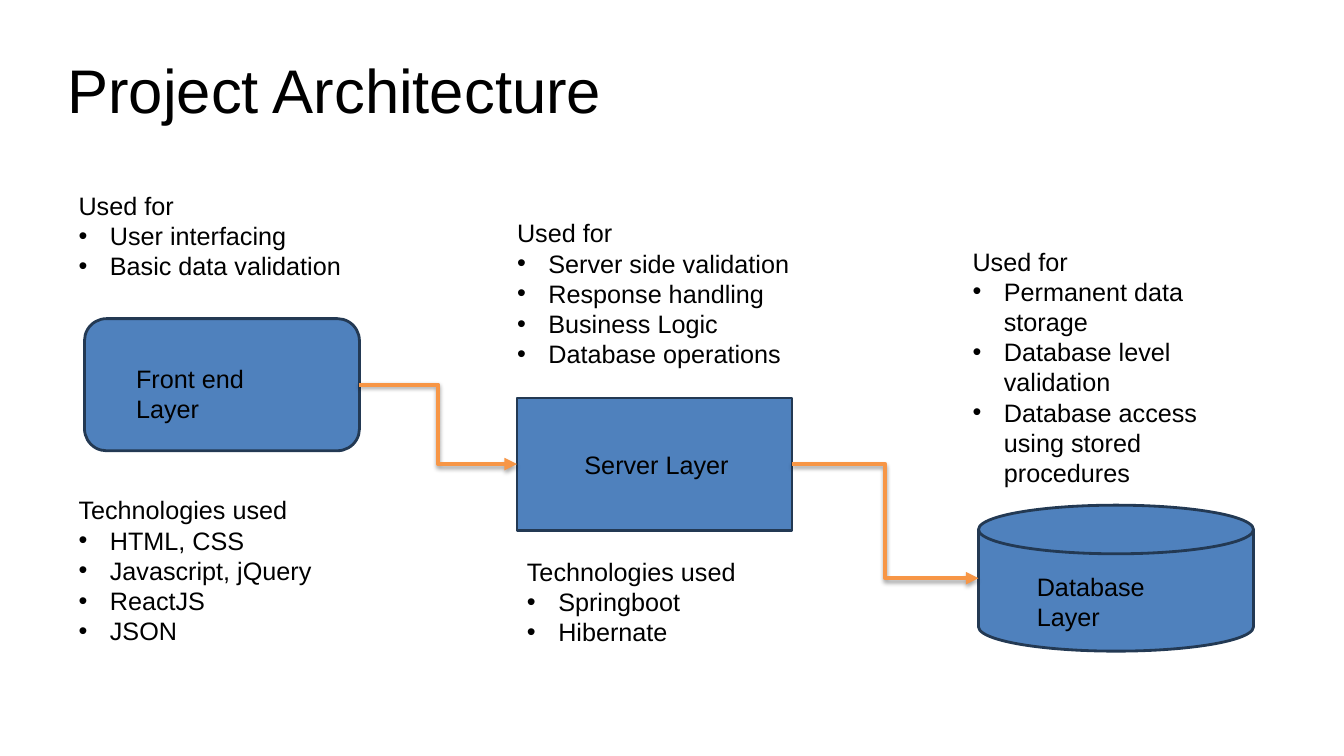
import pptx
import pptx.dml.color
import pptx.enum.shapes
import pptx.enum.text
import pptx.oxml
import pptx.oxml.ns
import pptx.util
from pptx.util import Cm

BLACK = pptx.dml.color.RGBColor(0x00, 0x00, 0x00)
BLUE = pptx.dml.color.RGBColor(0x4F, 0x81, 0xBD)
NAVY = pptx.dml.color.RGBColor(0x23, 0x39, 0x53)
ORANGE = pptx.dml.color.RGBColor(0xF7, 0x96, 0x46)

SHAPES = pptx.enum.shapes.MSO_SHAPE
LAYER_WIDTH = 6.93
LAYER_HEIGHT = 3.33
LIST_WIDTH = 7.77
LABEL_WIDTH = 4.88
LINE_HEIGHT = 0.76
INDENT = Cm(0.79)


def format_text(paragraph, size):
    for run in paragraph.runs:
        run.font.name = "Arial"
        run.font.size = pptx.util.Pt(size)
        run.font.color.rgb = BLACK


def add_text(slide, left, top, width, height, text, size=18):
    shape = slide.shapes.add_textbox(Cm(left), Cm(top), Cm(width), Cm(height))
    text_frame = shape.text_frame
    text_frame.word_wrap = True
    text_frame.text = text
    for paragraph in text_frame.paragraphs:
        format_text(paragraph, size)
    return text_frame


def add_title(slide, text):
    text_frame = add_text(slide, 1.7, 0.76, 30.48, 3.18, text, 44)
    text_frame.vertical_anchor = pptx.enum.text.MSO_ANCHOR.MIDDLE
    text_frame.margin_left = text_frame.margin_right = 0
    text_frame.margin_top = text_frame.margin_bottom = 0
    text_frame.paragraphs[0].line_spacing = 0.9


def add_bullet(paragraph):
    properties = paragraph._p.get_or_add_pPr()
    properties.set("marL", str(INDENT))
    properties.set("indent", str(-INDENT))
    namespace = pptx.oxml.ns.nsdecls("a")
    properties.append(pptx.oxml.parse_xml(f'<a:buFont {namespace} typeface="Arial"/>'))
    properties.append(pptx.oxml.parse_xml(f'<a:buChar {namespace} char="•"/>'))


def add_list(slide, left, top, heading, items):
    height = LINE_HEIGHT * (len(items) + 1) + 0.25
    text = "\n".join([heading, *items])
    text_frame = add_text(slide, left, top, LIST_WIDTH, height, text)
    for paragraph in text_frame.paragraphs[1:]:
        add_bullet(paragraph)


def add_layer(slide, kind, left, top, height=LAYER_HEIGHT):
    shape = slide.shapes.add_shape(kind, Cm(left), Cm(top), Cm(LAYER_WIDTH), Cm(height))
    shape.shadow.inherit = False
    shape.fill.solid()
    shape.fill.fore_color.rgb = BLUE
    shape.line.color.rgb = NAVY
    shape.line.width = pptx.util.Pt(2)
    return shape


def add_label(slide, left, top, text):
    add_text(slide, left, top, LABEL_WIDTH, 1.02, text)


def add_arrow(slide, source, target):
    connector = slide.shapes.add_connector(
        pptx.enum.shapes.MSO_CONNECTOR.ELBOW,
        source.left + source.width,
        source.top + source.height // 2,
        target.left,
        target.top + target.height // 2,
    )
    connector.begin_connect(source, 3)
    connector.line.color.rgb = ORANGE
    connector.line.width = pptx.util.Pt(3)
    namespace = pptx.oxml.ns.nsdecls("a")
    line = connector.line._get_or_add_ln()
    line.append(pptx.oxml.parse_xml(f'<a:tailEnd {namespace} type="triangle"/>'))
    connector._element.spPr.append(pptx.oxml.parse_xml(
        f'<a:effectLst {namespace}>'
        '<a:outerShdw blurRad="40000" dist="23000" dir="5400000" rotWithShape="0">'
        '<a:srgbClr val="000000"><a:alpha val="35000"/></a:srgbClr>'
        '</a:outerShdw></a:effectLst>'
    ))
    return connector


def main():
    presentation = pptx.Presentation()
    presentation.slide_width = Cm(33.87)
    presentation.slide_height = Cm(19.05)
    slide = presentation.slides.add_slide(presentation.slide_layouts[6])

    add_title(slide, "Project Architecture")

    front_end = add_layer(slide, SHAPES.ROUNDED_RECTANGLE, 2.13, 8.03)
    server = add_layer(slide, SHAPES.ROUNDED_RECTANGLE, 13.03, 10.03)
    server.adjustments[0] = 0
    database = add_layer(slide, SHAPES.FLOWCHART_MAGNETIC_DISK, 24.66, 12.73, 3.68)

    add_label(slide, 3.18, 9.02, "Front end Layer")
    add_label(slide, 14.48, 11.2, "Server Layer")
    add_label(slide, 25.88, 14.27, "Database Layer")

    add_list(slide, 1.73, 4.67, "Used for",
             ["User interfacing", "Basic data validation"])
    add_list(slide, 1.73, 12.34, "Technologies used",
             ["HTML, CSS", "Javascript, jQuery", "ReactJS", "JSON"])
    add_list(slide, 12.78, 5.36, "Used for",
             ["Server side validation", "Response handling",
              "Business Logic", "Database operations"])
    add_list(slide, 13.03, 13.89, "Technologies used",
             ["Springboot", "Hibernate"])
    add_list(slide, 24.26, 6.07, "Used for",
             ["Permanent data storage", "Database level validation",
              "Database access using stored procedures"])

    add_arrow(slide, front_end, server).end_connect(server, 1)
    add_arrow(slide, server, database)

    presentation.save("out.pptx")


if __name__ == "__main__":
    main()
